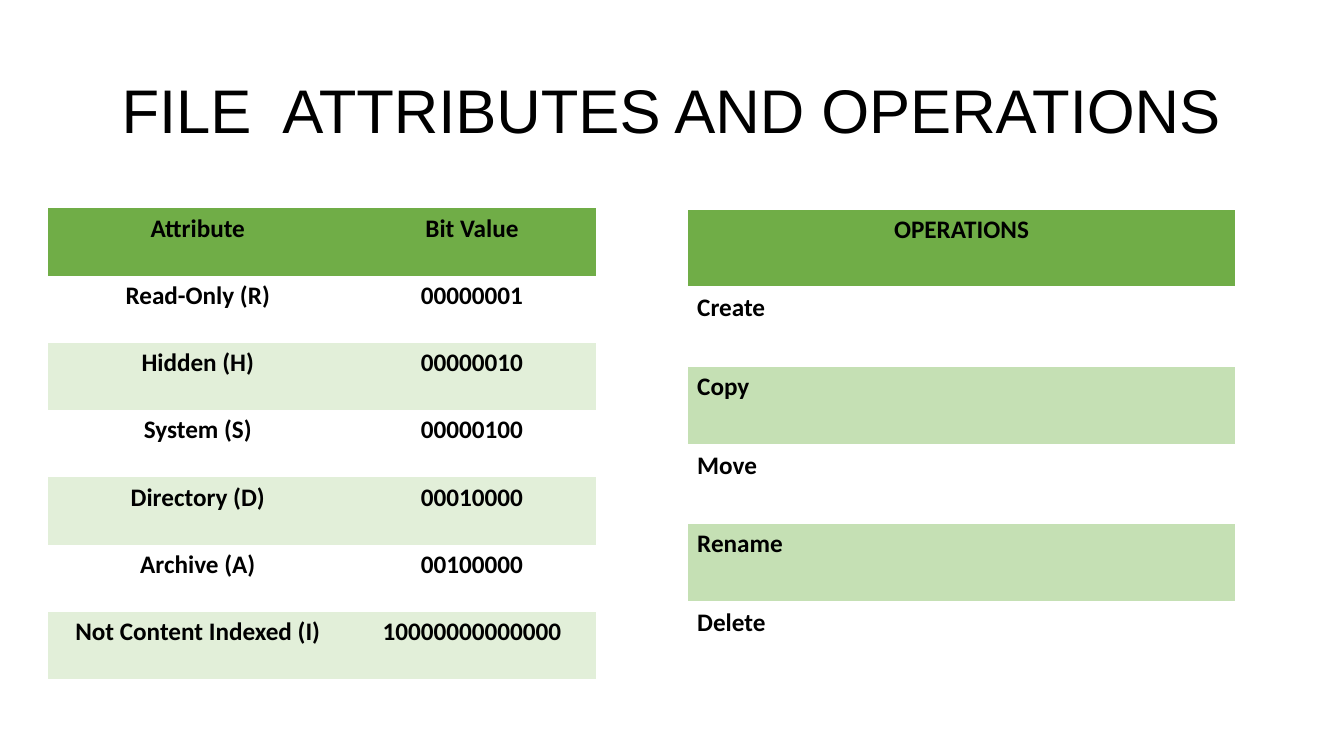
from lxml import etree
from pptx import Presentation
from pptx.dml.color import RGBColor
from pptx.enum.text import MSO_ANCHOR, PP_ALIGN
from pptx.oxml.ns import qn
from pptx.util import Cm, Pt

CENTER, JUSTIFY = PP_ALIGN.CENTER, PP_ALIGN.JUSTIFY
MIDDLE = MSO_ANCHOR.MIDDLE

BLACK = RGBColor(0x00, 0x00, 0x00)
WHITE = RGBColor(0xFF, 0xFF, 0xFF)
GREEN = RGBColor(0x70, 0xAD, 0x47)
PALE_GREEN = RGBColor(0xE2, 0xEF, 0xD9)
LIGHT_GREEN = RGBColor(0xC5, 0xE0, 0xB4)
PLAIN_STYLE = "{2D5ABB26-0587-4C30-8999-92F81FD0307C}"

# Content
TITLE = "FILE  ATTRIBUTES AND OPERATIONS"
ATTRIBUTES = [
    ("Attribute", "Bit Value"),
    ("Read-Only (R)", "00000001"),
    ("Hidden (H)", "00000010"),
    ("System (S)", "00000100"),
    ("Directory (D)", "00010000"),
    ("Archive (A)", "00100000"),
    ("Not Content Indexed (I)", "10000000000000"),
]
OPERATIONS = [("OPERATIONS",), ("Create",), ("Copy",), ("Move",), ("Rename",), ("Delete",)]

# Table layouts, lengths in centimetres
ATTRIBUTE_LAYOUT = dict(left=1.21, top=5.25, widths=(7.55, 6.27), row_height=1.695,
                        margins=(0.12, 0.12), band=PALE_GREEN, body_align=CENTER, ruled=False)
OPERATION_LAYOUT = dict(left=17.32, top=5.27, widths=(13.82,), row_height=1.98,
                        margins=(0.25, 0.13), band=LIGHT_GREEN, body_align=JUSTIFY, ruled=True)


def write(para, text, font, size, bold=False):
    span = para.add_run()
    span.text = text
    span.font.name = font
    span.font.size = Pt(size)
    span.font.bold = bold
    span.font.color.rgb = BLACK


def add_borders(cell, row):
    """White rules, with a heavier one beneath the header."""
    points = {"L": 1, "R": 1, "T": 3 if row == 1 else 1, "B": 3 if row == 0 else 1}
    properties = cell._tc.get_or_add_tcPr()
    for side, width in points.items():
        line = etree.SubElement(properties, qn("a:ln" + side), w=str(Pt(width)))
        fill = etree.SubElement(line, qn("a:solidFill"))
        etree.SubElement(fill, qn("a:srgbClr"), val=str(WHITE))


def add_grid(page, rows, left, top, widths, row_height, margins, band, body_align, ruled):
    frame = page.shapes.add_table(len(rows), len(widths), Cm(left), Cm(top),
                                  Cm(sum(widths)), Cm(row_height * len(rows)))
    table = frame.table
    table._tbl.tblPr.find(qn("a:tableStyleId")).text = PLAIN_STYLE
    table.horz_banding = False
    for column, width in zip(table.columns, widths):
        column.width = Cm(width)
    for r, texts in enumerate(rows):
        table.rows[r].height = Cm(row_height)
        for c, text in enumerate(texts):
            cell = table.cell(r, c)
            if ruled:
                add_borders(cell, r)
            cell.fill.solid()
            cell.fill.fore_color.rgb = GREEN if r == 0 else (WHITE if r % 2 else band)
            cell.margin_left = cell.margin_right = Cm(margins[0])
            cell.margin_top = cell.margin_bottom = Cm(margins[1])
            para = cell.text_frame.paragraphs[0]
            para.alignment = CENTER if r == 0 else body_align
            write(para, text, "Calibri", 18, bold=True)


def main():
    deck = Presentation()
    deck.slide_width, deck.slide_height = Cm(33.87), Cm(19.05)
    page = deck.slides.add_slide(deck.slide_layouts[6])

    # Title
    box = page.shapes.add_textbox(Cm(2.33), Cm(1.01), Cm(29.21), Cm(3.68))
    box.text_frame.word_wrap = True
    box.text_frame.vertical_anchor = MIDDLE
    para = box.text_frame.paragraphs[0]
    para.alignment = CENTER
    para.line_spacing = 0.9
    write(para, TITLE, "Arial", 44)

    # Tables
    add_grid(page, ATTRIBUTES, **ATTRIBUTE_LAYOUT)
    add_grid(page, OPERATIONS, **OPERATION_LAYOUT)

    deck.save("out.pptx")


if __name__ == "__main__":
    main()
